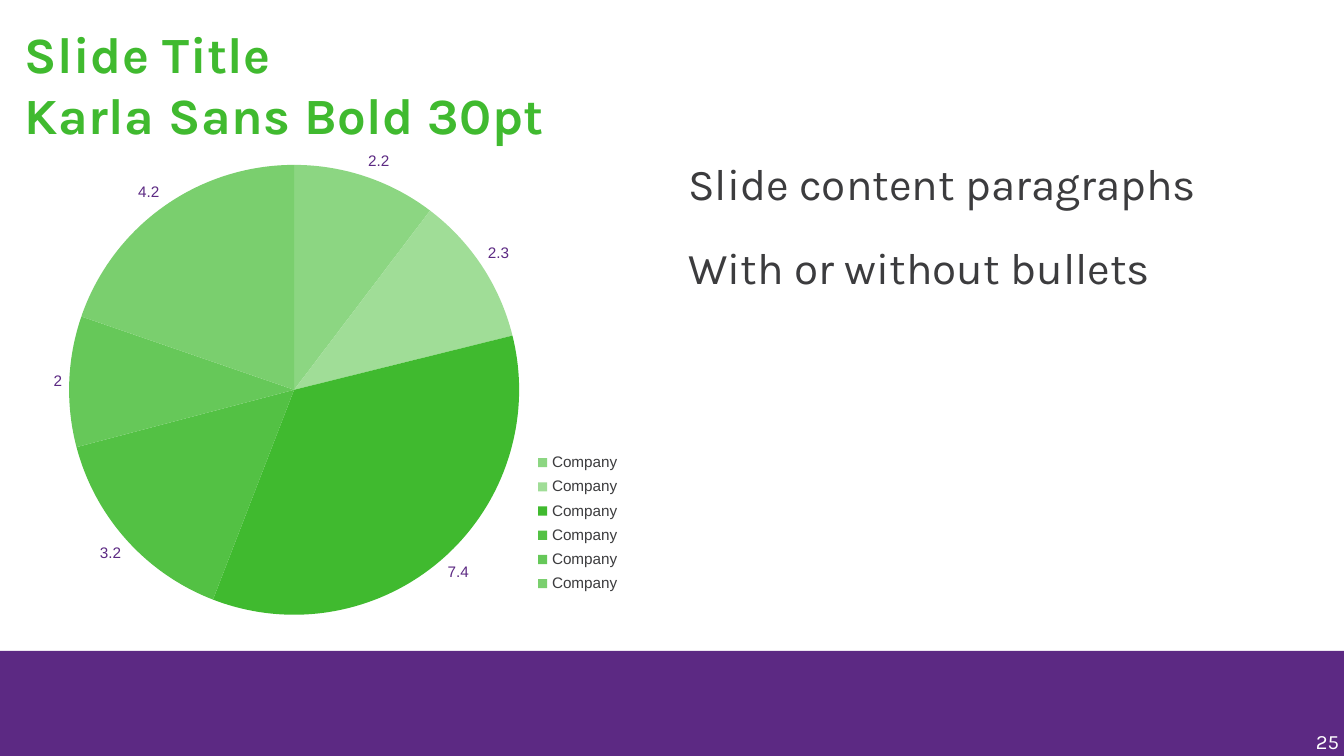
"""Build a slide with a title, a green pie chart, body text and a purple footer band."""
from dataclasses import dataclass

from lxml import etree
from pptx import Presentation
from pptx import util as u
from pptx.chart import data
from pptx.dml.color import RGBColor
from pptx.enum import chart as ch, shapes, text
from pptx.oxml import ns


@dataclass(frozen=True)
class Theme:
    purple: str = "5C2983"
    green: str = "40BA2F"
    ink: str = "3C3C3E"
    white: str = "FFFFFF"
    slices: tuple = ("8CD682", "A0DD97", "40BA2F", "53C144", "66C859", "7ACF6E")
    font: str = "Karla"
    chart_font: str = "Arial"
    title_size: int = 30
    body_size: int = 26
    number_size: int = 12
    chart_size: int = 9


def style(font, name, size, color):
    font.name, font.size = name, u.Pt(size)
    font.color.rgb = RGBColor.from_string(color)


def set_layout(parent, position, x, y, w, h, inner=False):
    for old in parent.findall(ns.qn("c:layout")):
        parent.remove(old)
    layout = etree.Element(ns.qn("c:layout"))
    manual = etree.SubElement(layout, ns.qn("c:manualLayout"))
    settings = [("layoutTarget", "inner")] if inner else []
    settings += [("xMode", "edge"), ("yMode", "edge"), ("x", x), ("y", y), ("w", w), ("h", h)]
    for tag, value in settings:
        etree.SubElement(manual, ns.qn(f"c:{tag}")).set("val", str(value))
    parent.insert(position, layout)


theme = Theme()
deck = Presentation()
deck.slide_width, deck.slide_height = u.Cm(27.99), u.Cm(15.75)
page = deck.slides.add_slide(deck.slide_layouts[1])

band = page.shapes.add_shape(
    shapes.MSO_SHAPE.RECTANGLE, 0, u.Cm(13.56), deck.slide_width, u.Cm(2.19))
band.shadow.inherit = False
band.fill.solid()
band.fill.fore_color.rgb = RGBColor.from_string(theme.purple)
band.line.fill.background()

number = page.shapes.add_textbox(u.Cm(25.86), u.Cm(15.01), u.Cm(2.03), u.Cm(0.89))
number.text_frame.text = "25"
number.text_frame.paragraphs[0].alignment = text.PP_ALIGN.RIGHT

title, body = page.placeholders
title.left, title.top, title.width, title.height = u.Cm(0.51), u.Cm(0.48), u.Cm(26.62), u.Cm(1.98)
title.text_frame.text = "Slide Title\vKarla Sans Bold 30pt"
title.text_frame.paragraphs[0].alignment = text.PP_ALIGN.LEFT

body.left, body.top, body.width, body.height = u.Cm(14.33), u.Cm(2.72), u.Cm(12.98), u.Cm(10.9)
body.text_frame.text = "Slide content paragraphs\nWith or without bullets"
for para in body.text_frame.paragraphs:
    para.line_spacing = 1.5
    para.space_before = para.space_after = u.Pt(1.4)
    properties = para._p.get_or_add_pPr()
    properties.set("marL", "0")
    properties.set("indent", "0")
    etree.SubElement(properties, ns.qn("a:buNone"))

for box, size, color, anchor in (
    (title, theme.title_size, theme.green, text.MSO_ANCHOR.TOP),
    (body, theme.body_size, theme.ink, text.MSO_ANCHOR.TOP),
    (number, theme.number_size, theme.white, text.MSO_ANCHOR.MIDDLE),
):
    frame = box.text_frame
    frame.margin_left = frame.margin_top = frame.margin_right = frame.margin_bottom = 0
    frame.word_wrap = True
    frame.auto_size = text.MSO_AUTO_SIZE.NONE
    frame.vertical_anchor = anchor
    for para in frame.paragraphs:
        for span in para.runs:
            style(span.font, theme.font, size, color)
            if box is title:
                span.font.bold = True
                span.font._rPr.set("spc", "30")

values = data.CategoryChartData()
values.categories = ["Company"] * 6
values.add_series("Series 1", (2.2, 2.3, 7.4, 3.2, 2, 4.2))
pie = page.shapes.add_chart(
    ch.XL_CHART_TYPE.PIE, u.Cm(0.48), u.Cm(3), u.Cm(12.98), u.Cm(10.9), values).chart
pie.has_title = False
style(pie.font, theme.chart_font, theme.chart_size, theme.ink)

pie.has_legend = True
pie.legend.position = ch.XL_LEGEND_POSITION.RIGHT
pie.legend.include_in_layout = False
style(pie.legend.font, theme.chart_font, theme.chart_size, theme.ink)

plot = pie.plots[0]
plot.vary_by_categories = True
plot.has_data_labels = True
labels = plot.data_labels
labels.show_value = True
labels.show_percentage = False
labels.number_format, labels.number_format_is_linked = "General", False
labels.position = ch.XL_LABEL_POSITION.OUTSIDE_END
style(labels.font, theme.chart_font, theme.chart_size, theme.purple)

for index, color in enumerate(theme.slices):
    piece = plot.series[0].points[index].format
    piece.fill.solid()
    piece.fill.fore_color.rgb = RGBColor.from_string(color)
    piece.line.fill.background()

chart_root = pie._chartSpace.find(ns.qn("c:chart"))
set_layout(chart_root.find(ns.qn("c:plotArea")), 0, 0.06, 0.04, 0.75, 0.86, inner=True)
set_layout(chart_root.find(ns.qn("c:legend")), 1, 0.8, 0.58, 0.18, 0.29)
area = etree.Element(ns.qn("c:spPr"))
etree.SubElement(area, ns.qn("a:noFill"))
etree.SubElement(etree.SubElement(area, ns.qn("a:ln")), ns.qn("a:noFill"))
chart_root.addnext(area)

deck.save("out.pptx")
